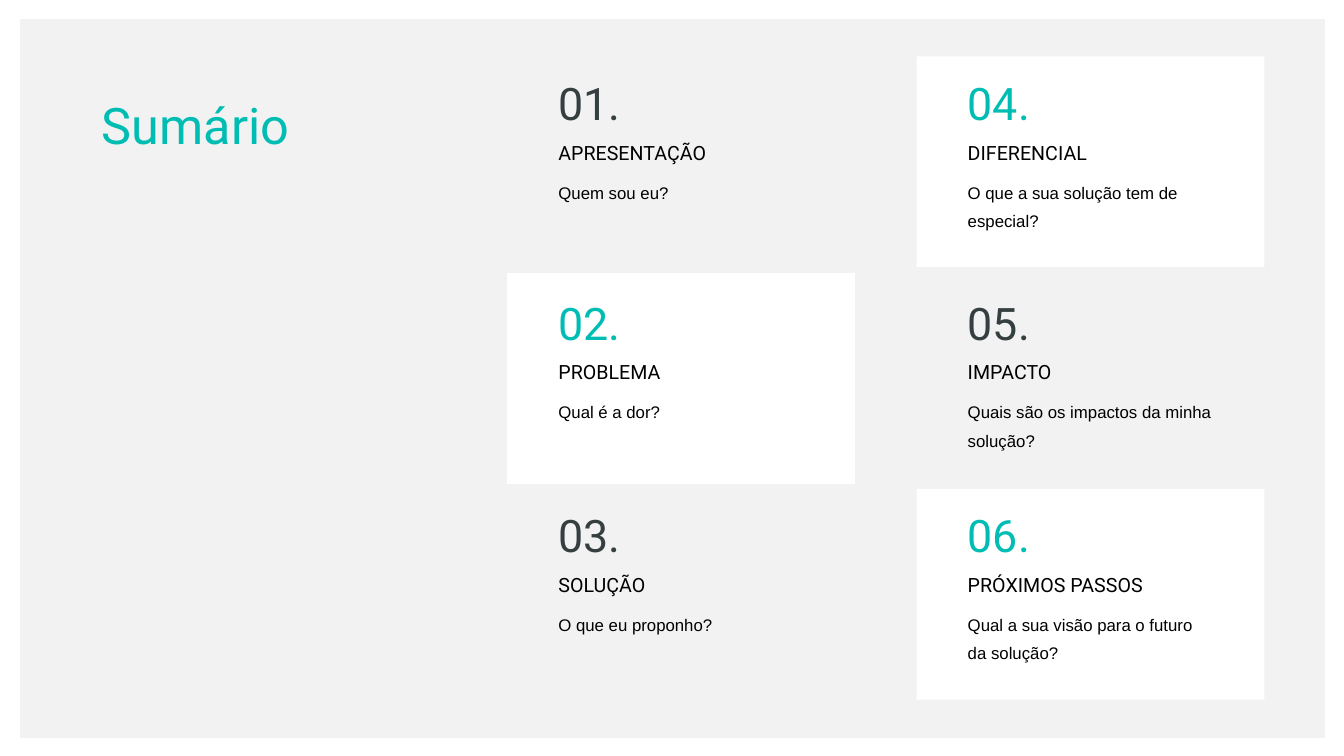
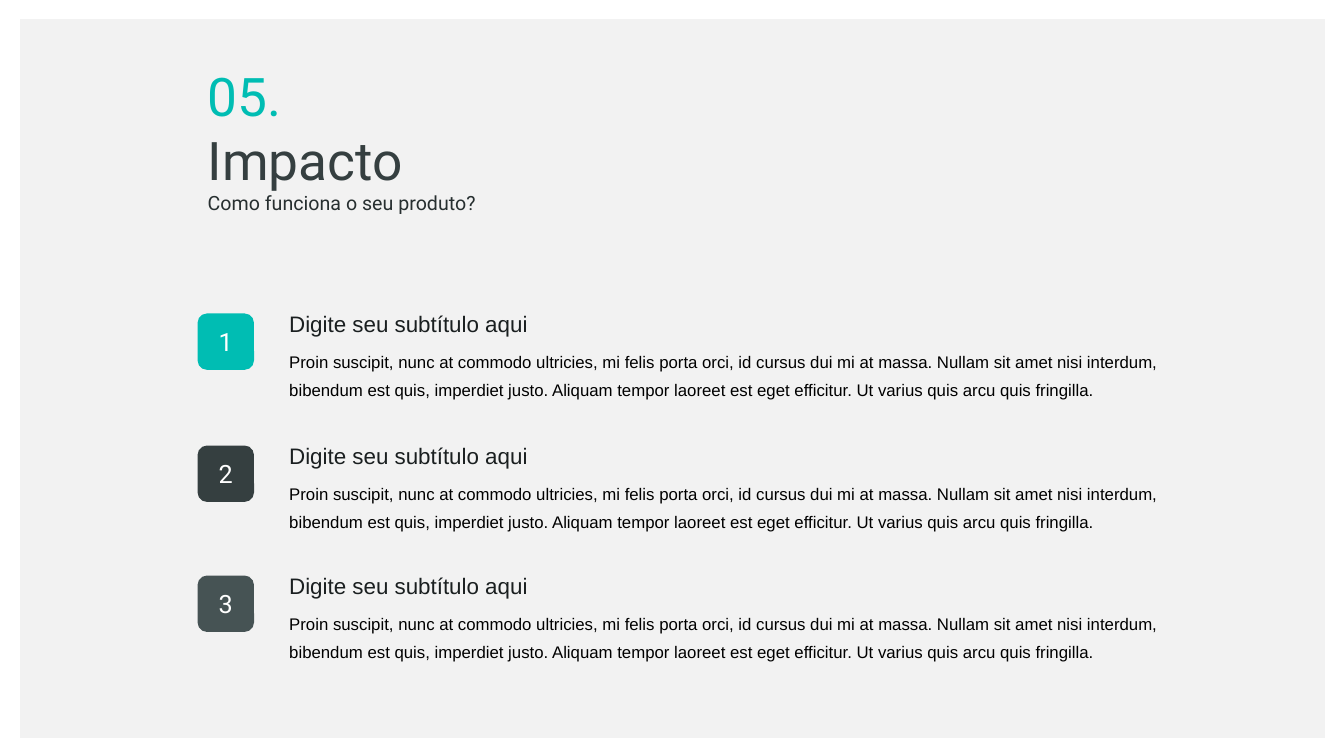
from typing import NamedTuple

from pptx import Presentation
from pptx.dml.color import RGBColor
from pptx.enum.shapes import MSO_SHAPE
from pptx.enum.text import MSO_ANCHOR, MSO_AUTO_SIZE, PP_ALIGN
from pptx.shapes.autoshape import Shape
from pptx.slide import Slide
from pptx.text.text import TextFrame
from pptx.util import Inches, Pt

RECT = MSO_SHAPE.RECTANGLE
ROUNDED = MSO_SHAPE.ROUNDED_RECTANGLE
TOP, MIDDLE = MSO_ANCHOR.TOP, MSO_ANCHOR.MIDDLE
LEFT, CENTER = PP_ALIGN.LEFT, PP_ALIGN.CENTER
NO_AUTOFIT = MSO_AUTO_SIZE.NONE
TITLE_ONLY = 5

COLORS = {
    "panel": "F2F2F2",
    "white": "FFFFFF",
    "black": "000000",
    "teal": "00BDB3",
    "slate": "353F40",
    "gray": "465354",
    "tagline": "272F30",
    "subtitle": "1A1F20",
}
HEADING_FONT, BODY_FONT = "Roboto", "Arial"


class Box(NamedTuple):
    left: float
    top: float
    width: float
    height: float


class Line(NamedTuple):
    text: str
    size: float
    color: str = "black"
    font: str = HEADING_FONT
    spacing: float = 1.0


class Topic(NamedTuple):
    label: str
    question: str


class Step(NamedTuple):
    top: float
    color: str


# Shared drawing functions
def rgb(name: str) -> RGBColor:
    return RGBColor.from_string(COLORS[name])


def write(frame: TextFrame, lines: list[Line], align: PP_ALIGN = LEFT,
          anchor: MSO_ANCHOR = TOP) -> None:
    frame.word_wrap = True
    frame.auto_size = NO_AUTOFIT
    frame.vertical_anchor = anchor
    for index, line in enumerate(lines):
        paragraph = frame.add_paragraph() if index else frame.paragraphs[0]
        paragraph.alignment = align
        paragraph.line_spacing = line.spacing
        paragraph.space_before = Pt(0)
        run = paragraph.add_run()
        run.text = line.text
        run.font.size = Pt(line.size)
        run.font.name = line.font
        run.font.color.rgb = rgb(line.color)


def add_text(slide: Slide, box: Box, line: Line) -> None:
    write(slide.shapes.add_textbox(*map(Inches, box)).text_frame, [line])


def add_block(slide: Slide, box: Box, color: str, preset: MSO_SHAPE = RECT) -> Shape:
    block = slide.shapes.add_shape(preset, *map(Inches, box))
    block.shadow.inherit = False
    block.fill.solid()
    block.fill.fore_color.rgb = rgb(color)
    block.line.fill.background()
    return block


def add_framed_slide(title_box: Box, title_lines: list[Line]) -> Slide:
    slide = deck.slides.add_slide(deck.slide_layouts[TITLE_ONLY])
    panel = add_block(slide, Box(0.2, 0.19, 12.94, 7.13), "panel").element
    panel.getparent().insert(2, panel)  # behind the title
    title = slide.shapes.title
    title.left, title.top, title.width, title.height = map(Inches, title_box)
    write(title.text_frame, title_lines)
    return slide


deck = Presentation()
deck.slide_width, deck.slide_height = Inches(13.33), Inches(7.5)

# Slide 1: summary, filled column by column
TOPICS = [
    Topic("APRESENTAÇÃO", "Quem sou eu?"),
    Topic("PROBLEMA", "Qual é a dor?"),
    Topic("SOLUÇÃO", "O que eu proponho?"),
    Topic("DIFERENCIAL", "O que a sua solução tem de especial?"),
    Topic("IMPACTO", "Quais são os impactos da minha solução?"),
    Topic("PRÓXIMOS PASSOS", "Qual a sua visão para o futuro da solução?"),
]
CARD_LEFTS = (5.03, 9.09)
CARD_TOPS = (0.56, 2.71, 4.85)
NUMBER_TOPS = (0.7, 2.88, 4.99)
TEXT_INDENT = 0.41

summary = add_framed_slide(
    Box(0.91, 0.7, 3.68, 0.81), [Line("Sumário", 36, "teal", spacing=1.3)])
for index, topic in enumerate(TOPICS):
    column, row = divmod(index, len(CARD_TOPS))
    card_left, number_top = CARD_LEFTS[column], NUMBER_TOPS[row]
    text_left = card_left + TEXT_INDENT
    highlighted = index % 2 == 1
    if highlighted:
        add_block(summary, Box(card_left, CARD_TOPS[row], 3.45, 2.09), "white")
    add_text(summary, Box(text_left, number_top, 1.09, 0.64),
             Line(f"{index + 1:02}.", 32, "teal" if highlighted else "slate"))
    add_text(summary, Box(text_left, number_top + 0.645, 3, 0.34),
             Line(topic.label, 14))
    add_text(summary, Box(text_left, number_top + 0.98, 2.66, 0.65),
             Line(topic.question, 12, font=BODY_FONT, spacing=1.4))

# Slide 2: impact, three numbered steps
STEPS = [Step(3.11, "teal"), Step(4.42, "slate"), Step(5.71, "gray")]
STEP_SUBTITLE = "Digite seu subtítulo aqui"
STEP_BODY = (
    "Proin suscipit, nunc at commodo ultricies, mi felis porta orci, id cursus "
    "dui mi at massa. Nullam sit amet nisi interdum, bibendum est quis, "
    "imperdiet justo. Aliquam tempor laoreet est eget efficitur. Ut varius quis "
    "arcu quis fringilla."
)

impact = add_framed_slide(Box(1.96, 0.58, 3.31, 1.62), [
    Line("05.", 38, "teal"),
    Line("Impacto", 38, "slate"),
    Line("Como funciona o seu produto?", 14, "tagline"),
])
for number, step in enumerate(STEPS, start=1):
    badge = add_block(impact, Box(1.96, step.top, 0.56, 0.56), step.color, ROUNDED)
    write(badge.text_frame, [Line(str(number), 18, "white")], CENTER, MIDDLE)
    add_text(impact, Box(2.77, step.top - 0.08, 3.16, 0.37),
             Line(STEP_SUBTITLE, 16, "subtitle", BODY_FONT))
    add_text(impact, Box(2.77, step.top + 0.25, 8.91, 0.63),
             Line(STEP_BODY, 12, font=BODY_FONT, spacing=1.4))

deck.save("out.pptx")
